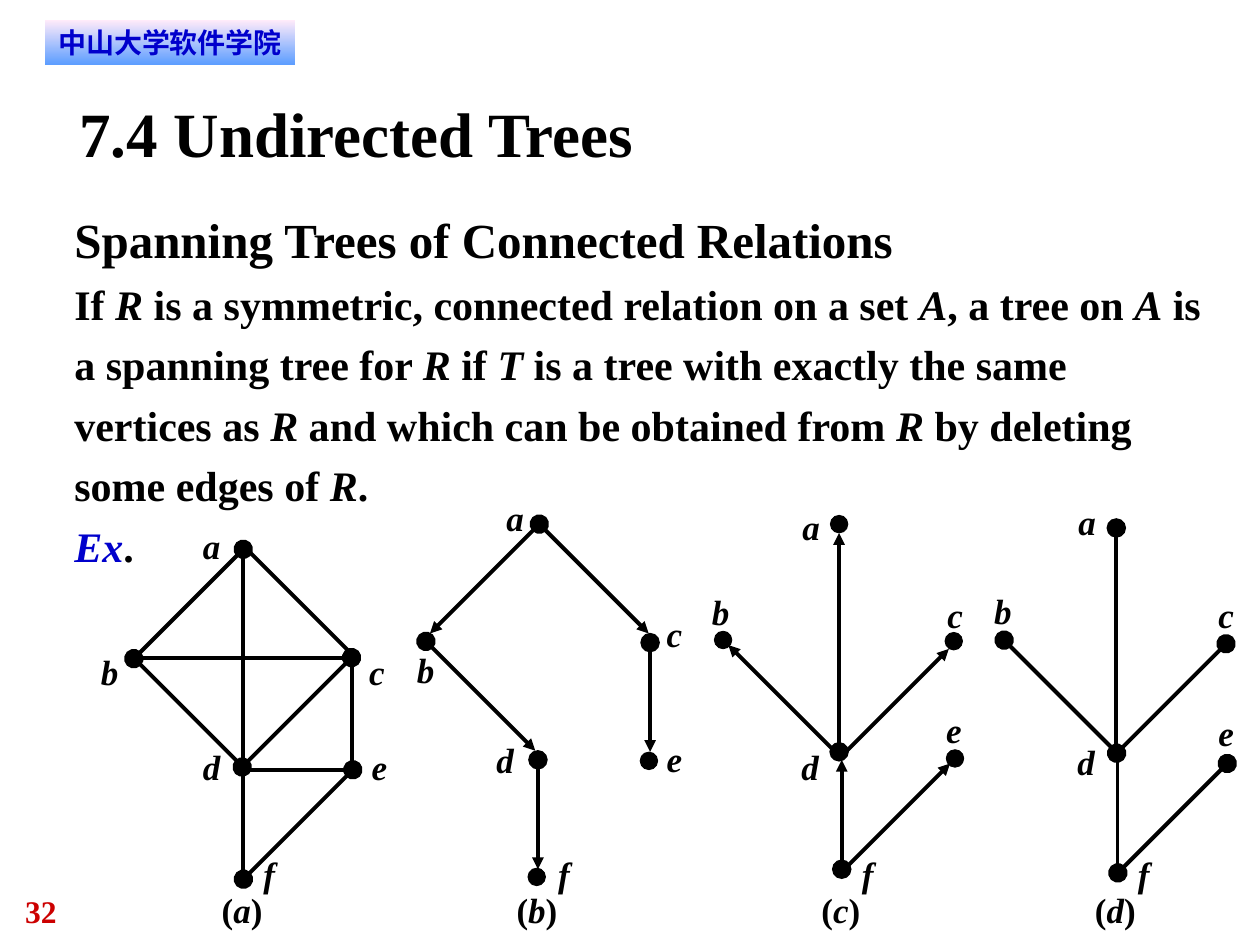
from pptx import Presentation
from pptx.dml.color import RGBColor
from pptx.enum.shapes import MSO_CONNECTOR as Connector, MSO_SHAPE as Shape
from pptx.enum.text import MSO_ANCHOR as Anchor, PP_ALIGN as Align
from pptx.oxml.ns import qn
from pptx.util import Pt
from lxml.etree import SubElement

SERIF = "Times New Roman"
BLACK, BLUE, RED = "000000", "0000CC", "CC0000"
STEP = 62.5
DOT = 10
VERTEX_WIDTHS = {"a": 10.2, "b": 10.2, "c": 9, "d": 10.2, "e": 9, "f": 6.8}
LABEL_HEIGHT = 23.8
CAPTION_WIDTH = 25
CAPTION_TOP = 223.6
GRAPH_TOP = 284

GRAPHS = [
    dict(
        name="a", left=58, caption_left=68.7,
        edges=[
            (18.3, 91.8, 2, 0, None, None),
            (18.3, 91.8, 1, 1, None, None),
            (142.9, 91.8, -1, 1, "oval", "oval"),
            (83.1, 29.9, 1, 1, None, None),
            (81, 29.9, -1, 1, "oval", "oval"),
            (81, 30.6, 0, 2, None, None),
            (81, 155.9, 0, 1, None, None),
            (142.9, 91.8, 0, 1, None, None),
            (143.6, 155.9, -1, 1, "oval", "oval"),
            (81, 155.9, 1, 0, None, None),
        ],
        vertices=dict(a=(57.9, 15.5), b=(-0.4, 87.5), c=(153, 87.5),
                      d=(57.9, 142.2), e=(154.4, 142.2), f=(92.5, 203.4)),
        dots=[],
    ),
    dict(
        name="b", left=238, caption_left=57.2,
        edges=[
            (5.4, 82.5, 1, 1, "oval", "triangle"),
            (70.2, 15.5, 1, 1, None, "triangle"),
            (70.2, 15.5, -1, 1, "oval", "triangle"),
            (69.4, 150.2, 0, 1, "oval", "triangle"),
            (133.5, 83.2, 0, 1, "oval", "triangle"),
        ],
        vertices=dict(a=(51.4, -0.3), b=(0.3, 86.8), c=(142.9, 65.9),
                      d=(45.7, 137.9), e=(142.9, 137.2), f=(81, 203.4)),
        dots=[(63.7, 212.1), (127.8, 145.8)],
    ),
    dict(
        name="c", left=407, caption_left=62.4,
        edges=[
            (9.2, 84.6, 1, 1, "triangle", None),
            (135.2, 86.8, -1, 1, "triangle", None),
            (72.5, 20.6, 0, 2, "triangle", "oval"),
            (74, 150.2, 0, 1, "triangle", "oval"),
            (135.9, 152.3, -1, 1, "triangle", None),
        ],
        vertices=dict(a=(51.6, 4.7), b=(-0.2, 53.7), c=(134.4, 55.1),
                      d=(50.9, 142.2), e=(133.7, 120.6), f=(85.5, 203.4)),
        dots=[(133.7, 144.4), (133, 77.4), (67.5, 10.5), (1.2, 76.7)],
    ),
    dict(
        name="d", left=568, caption_left=57.7,
        edges=[
            (5.8, 81.8, 1, 1, "oval", None),
            (132.6, 83.9, -1, 1, "oval", "oval"),
            (69.9, 17.7, 0, 2, "oval", None),
            (70.6, 150.2, 0, 1, None, None),
            (133.3, 152.3, -1, 1, "oval", "oval"),
        ],
        vertices=dict(a=(48.3, 1.8), b=(0.1, 53), c=(128.2, 55.1),
                      d=(47.6, 139.4), e=(128.2, 122.8), f=(82.2, 203.4)),
        dots=[],
    ),
]


def color(value):
    """Turn a hex string into a colour."""
    return RGBColor.from_string(value)


def style(font, size, ink=BLACK, italic=False, face=SERIF):
    """Apply the bold lettering used throughout."""
    font.name, font.size, font.bold, font.italic = face, Pt(size), True, italic
    font.color.rgb = color(ink)


def write(paragraph, marked, size, italic_ink=BLACK):
    """Write text in which asterisks enclose italic parts."""
    for index, part in enumerate(marked.split("*")):
        if part:
            run = paragraph.add_run()
            run.text = part
            italic = index % 2 == 1
            style(run.font, size, italic_ink if italic else BLACK, italic)


def text_frame(shapes, left, top, width, height, wrap=True):
    """Add a text box without margins and return its frame."""
    frame = shapes.add_textbox(Pt(left), Pt(top), Pt(width), Pt(height)).text_frame
    frame.margin_left = frame.margin_right = frame.margin_top = frame.margin_bottom = 0
    frame.word_wrap = wrap
    return frame


def add_banner(slide, left, top, width, height):
    """Place the school's name on its gradient strip."""
    banner = slide.shapes.add_shape(Shape.RECTANGLE, Pt(left), Pt(top), Pt(width), Pt(height))
    banner.shadow.inherit = False
    banner.line.fill.background()
    banner.fill.gradient()
    banner.fill.gradient_angle = 270
    for stop, position, tint in zip(banner.fill.gradient_stops, (0, 1), ("FFEBFA", "5E9EFF")):
        stop.position, stop.color.rgb = position, color(tint)
    frame = banner.text_frame
    frame.margin_left = frame.margin_right = Pt(5.8)
    frame.margin_top = frame.margin_bottom = Pt(2.9)
    frame.text = "中山大学软件学院"
    frame.paragraphs[0].alignment = Align.CENTER
    style(frame.paragraphs[0].runs[0].font, 16, BLUE, face="DejaVu Sans")


def add_heading(slide, left, top, width, height, heading, size, ink=BLACK):
    """Place a single line of bold text."""
    frame = text_frame(slide.shapes, left, top, width, height)
    frame.vertical_anchor = Anchor.MIDDLE
    frame.text = heading
    style(frame.paragraphs[0].runs[0].font, size, ink)


def add_definition(slide, left, top, width, height):
    """Place the definition of a spanning tree."""
    frame = text_frame(slide.shapes, left, top, width, height)
    lines = [
        ("Spanning Trees of Connected Relations", 28, BLACK),
        ("If *R* is a symmetric, connected relation on a set *A*, a tree on *A* is "
         "a spanning tree for *R* if *T* is a tree with exactly the same vertices as *R* "
         "and which can be obtained from *R* by deleting some edges of *R*.", 24, BLACK),
        ("*Ex*.", 24, BLUE),
    ]
    for index, (marked, size, italic_ink) in enumerate(lines):
        paragraph = frame.add_paragraph() if index else frame.paragraphs[0]
        paragraph.line_spacing = 1.2
        write(paragraph, marked, size, italic_ink)


def add_edge(shapes, x, y, columns, rows, start_mark, end_mark):
    """Draw an edge that spans whole steps of the graph."""
    edge = shapes.add_connector(Connector.STRAIGHT, Pt(x), Pt(y),
                                Pt(x + columns * STEP), Pt(y + rows * STEP))
    edge.line.color.rgb, edge.line.width = color(BLACK), Pt(2.25)
    outline = edge.line._get_or_add_ln()
    for end, mark in (("a:headEnd", start_mark), ("a:tailEnd", end_mark)):
        if mark:
            size = "lg" if mark == "oval" else "med"
            SubElement(outline, qn(end), type=mark, w=size, len=size)
    SubElement(edge._element.spPr, qn("a:effectLst"))


def add_graph(slide, left, top, name, caption_left, edges, vertices, dots):
    """Draw one graph with its vertex labels and caption."""
    shapes = slide.shapes.add_group_shape().shapes
    for x, y, *course in edges:
        add_edge(shapes, left + x, top + y, *course)
    for vertex, (x, y) in vertices.items():
        label = text_frame(shapes, left + x, top + y, VERTEX_WIDTHS[vertex], LABEL_HEIGHT, False)
        write(label.paragraphs[0], f"*{vertex}*", 20)
    for x, y in dots:
        dot = shapes.add_shape(Shape.OVAL, Pt(left + x), Pt(top + y), Pt(DOT), Pt(DOT))
        dot.shadow.inherit = False
        dot.fill.solid()
        dot.fill.fore_color.rgb = dot.line.color.rgb = color(BLACK)
        dot.line.width = Pt(0.5)
    caption = text_frame(slide.shapes, left + caption_left, top + CAPTION_TOP,
                         CAPTION_WIDTH, LABEL_HEIGHT)
    write(caption.paragraphs[0], f"(*{name}*)", 20)


def main():
    """Build the slide and save it."""
    deck = Presentation()
    deck.slide_width, deck.slide_height = Pt(720), Pt(540)
    slide = deck.slides.add_slide(deck.slide_layouts[6])
    add_heading(slide, 14.4, 509.8, 54, 21.6, "32", 18, RED)
    add_banner(slide, 25.5, 11.5, 143.3, 25.2)
    add_heading(slide, 45.4, 54, 630, 43.2, "7.4 Undirected Trees", 36)
    add_definition(slide, 42.5, 113, 644.4, 213)
    for graph in GRAPHS:
        add_graph(slide, top=GRAPH_TOP, **graph)
    deck.save("out.pptx")


if __name__ == "__main__":
    main()
